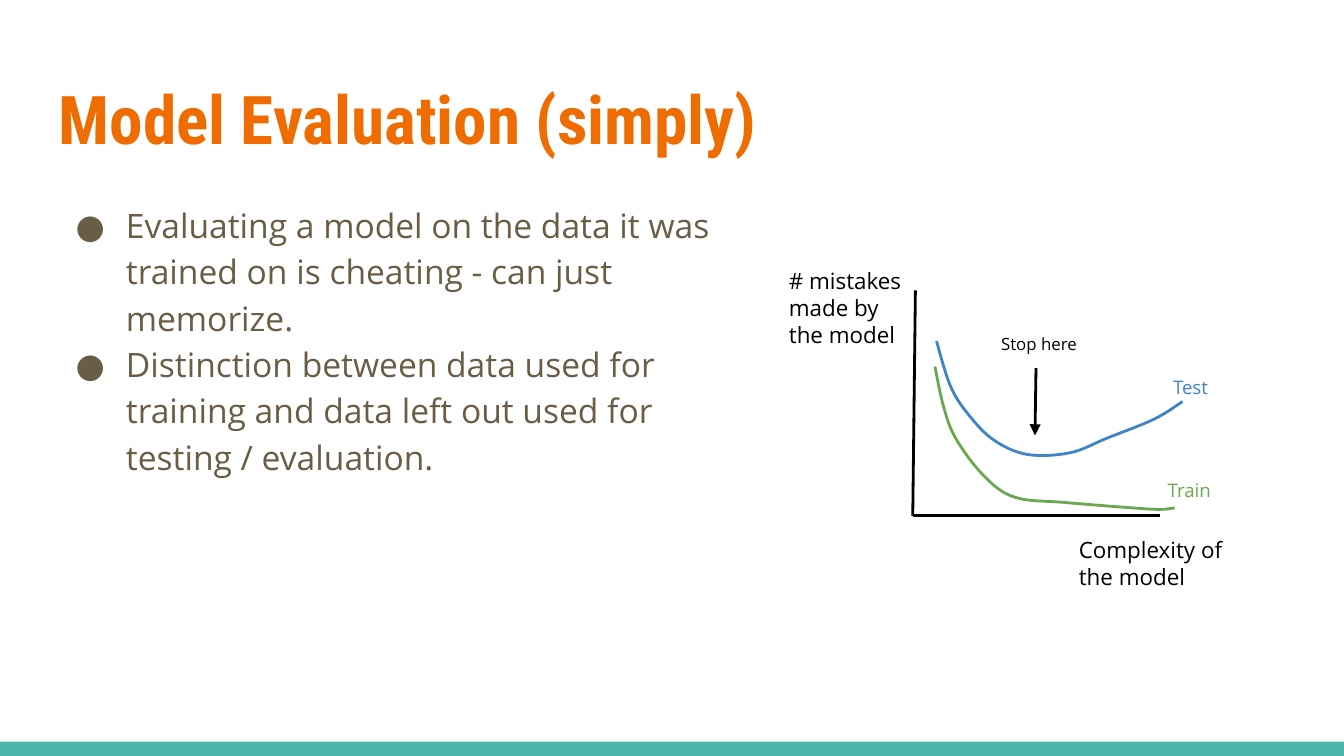
from dataclasses import dataclass

from lxml import etree
from pptx import Presentation
from pptx.dml.color import RGBColor
from pptx.enum.shapes import MSO_CONNECTOR, MSO_SHAPE
from pptx.enum.text import MSO_ANCHOR, MSO_AUTO_SIZE, PP_ALIGN
from pptx.oxml.ns import qn
from pptx.util import Cm, Pt

STRAIGHT, RECTANGLE = MSO_CONNECTOR.STRAIGHT, MSO_SHAPE.RECTANGLE
TOP, MIDDLE, LEFT = MSO_ANCHOR.TOP, MSO_ANCHOR.MIDDLE, PP_ALIGN.LEFT
NO_AUTOFIT = MSO_AUTO_SIZE.NONE

COLORS = {"title": "EF6C00", "body": "695D46", "band": "4DB6AC",
          "ink": "000000", "test": "3D85C6", "train": "6AA84F"}
HEADING_FONT, TEXT_FONT = "Roboto Condensed", "Open Sans"
LINE_WIDTH = Pt(1.5)
Point = tuple[float, float]


@dataclass
class Label:
    text: str
    box: tuple[float, float, float, float]
    size: int
    color: str = "ink"


@dataclass
class Stroke:
    start: Point
    end: Point
    arrow: bool = False


@dataclass
class Curve:
    color: str
    knots: list[Point]


def rgb(name: str) -> RGBColor:
    return RGBColor.from_string(COLORS[name])


def place(shape, box) -> None:
    for side, value in zip(("left", "top", "width", "height"), box):
        setattr(shape, side, Cm(value))


def write(shape, paragraphs: list[str], font: str, size: int, color: str,
          bold: bool = False, anchor=TOP) -> None:
    frame = shape.text_frame
    frame_format = {"word_wrap": True, "auto_size": NO_AUTOFIT, "vertical_anchor": anchor}
    frame_format.update({f"margin_{side}": Cm(0.25)
                         for side in ("left", "right", "top", "bottom")})
    for name, value in frame_format.items():
        setattr(frame, name, value)
    frame.text = "\n".join(paragraphs)
    for paragraph in frame.paragraphs:
        paragraph.alignment = LEFT
        text_font = paragraph.runs[0].font
        for name, value in {"name": font, "size": Pt(size), "bold": bold}.items():
            setattr(text_font, name, value)
        text_font.color.rgb = rgb(color)


def add_bullet(paragraph) -> None:
    paragraph.line_spacing = 1.15
    paragraph.space_before = Pt(0)
    properties = paragraph._p.get_or_add_pPr()
    properties.set("marL", str(Cm(1.27)))
    properties.set("indent", str(-Cm(0.95)))
    bullet_color = etree.SubElement(properties, qn("a:buClr"))
    etree.SubElement(bullet_color, qn("a:srgbClr"), val=COLORS["body"])
    etree.SubElement(properties, qn("a:buFont"), typeface=TEXT_FONT)
    etree.SubElement(properties, qn("a:buChar"), char="●")


def draw_label(slide, label: Label) -> None:
    textbox = slide.shapes.add_textbox(*map(Cm, label.box))
    write(textbox, [label.text], TEXT_FONT, label.size, label.color)


def draw_stroke(slide, stroke: Stroke) -> None:
    connector = slide.shapes.add_connector(
        STRAIGHT, *map(Cm, stroke.start + stroke.end))
    connector.line.color.rgb = rgb("ink")
    connector.line.width = LINE_WIDTH
    if stroke.arrow:
        etree.SubElement(connector.line._get_or_add_ln(), qn("a:tailEnd"), type="triangle")
    etree.SubElement(connector._element.spPr, qn("a:effectLst"))


def draw_curve(slide, curve: Curve) -> None:
    builder = slide.shapes.build_freeform(*map(Cm, curve.knots[0]))
    builder.add_line_segments([tuple(map(Cm, knot)) for knot in curve.knots[1:]],
                              close=False)
    shape = builder.convert_to_shape()
    shape.shadow.inherit = False
    shape.fill.background()
    shape.line.color.rgb = rgb(curve.color)
    shape.line.width = LINE_WIDTH
    smooth_outline(shape)


def smooth_outline(shape) -> None:
    """Turn straight segments into Catmull-Rom curves through the same knots."""
    knots = [(int(pt.get("x")), int(pt.get("y")))
             for pt in shape._element.iter(qn("a:pt"))]
    padded = [knots[0], *knots, knots[-1]]
    segments = list(shape._element.iter(qn("a:lnTo")))
    for segment, before, start, end, after in zip(
            segments, padded, padded[1:], padded[2:], padded[3:]):
        leaving = [s + (e - b) / 6 for b, s, e in zip(before, start, end)]
        arriving = [e - (a - s) / 6 for s, e, a in zip(start, end, after)]
        bezier = etree.Element(qn("a:cubicBezTo"))
        for x, y in (leaving, arriving, end):
            etree.SubElement(bezier, qn("a:pt"), x=str(round(x)), y=str(round(y)))
        segment.getparent().replace(segment, bezier)


BULLETS = [
    "Evaluating a model on the data it was trained on is cheating - can just memorize.",
    "Distinction between data used for training and data left out used for "
    "testing / evaluation.",
]
ORIGIN = (17.25, 9.75)
STROKES = [
    Stroke((17.3, 5.49), ORIGIN),
    Stroke((21.92, 9.75), ORIGIN),
    Stroke((19.58, 6.96), (19.56, 8.23), arrow=True),
]
CURVES = [
    Curve("test", [(17.7, 6.45), (17.96, 7.29), (18.29, 7.82), (18.77, 8.31),
                   (19.41, 8.59), (20.22, 8.56), (20.93, 8.28), (21.82, 7.92),
                   (22.35, 7.59)]),
    Curve("train", [(17.67, 6.93), (17.83, 7.67), (18.06, 8.28), (18.59, 8.99),
                    (19.18, 9.4), (20.14, 9.5), (21.39, 9.6), (21.92, 9.63),
                    (22.2, 9.6)]),
]
LABELS = [
    Label("# mistakes made by the model", (14.66, 4.8, 2.84, 2.06), 12),
    Label("Test", (21.92, 6.86, 1.55, 0.94), 10, "test"),
    Label("Train", (21.82, 8.81, 1.55, 0.94), 10, "train"),
    Label("Stop here", (18.67, 6.05, 2.21, 0.89), 9),
    Label("Complexity of the model", (20.14, 9.88, 3.51, 1.55), 12),
]


def main() -> None:
    presentation = Presentation()
    presentation.slide_width, presentation.slide_height = Cm(25.4), Cm(14.29)
    slide = presentation.slides.add_slide(presentation.slide_layouts[1])
    title, body = slide.placeholders

    # Bottom band
    band = slide.shapes.add_shape(RECTANGLE, *map(Cm, (0, 14.02, 25.4, 0.27)))
    band.shadow.inherit = False
    band.fill.solid()
    band.fill.fore_color.rgb = rgb("band")
    band.line.fill.background()

    # Title and bullet list
    place(title, (0.86, 1.25, 23.67, 1.95))
    write(title, ["Model Evaluation (simply)"], HEADING_FONT, 36, "title",
          bold=True, anchor=MIDDLE)
    place(body, (0.86, 3.51, 13.44, 9.17))
    write(body, BULLETS, TEXT_FONT, 18, "body")
    for paragraph in body.text_frame.paragraphs:
        add_bullet(paragraph)

    # Sketch of mistakes against complexity
    for stroke in STROKES:
        draw_stroke(slide, stroke)
    for curve in CURVES:
        draw_curve(slide, curve)
    for label in LABELS:
        draw_label(slide, label)

    presentation.save("out.pptx")


if __name__ == "__main__":
    main()
